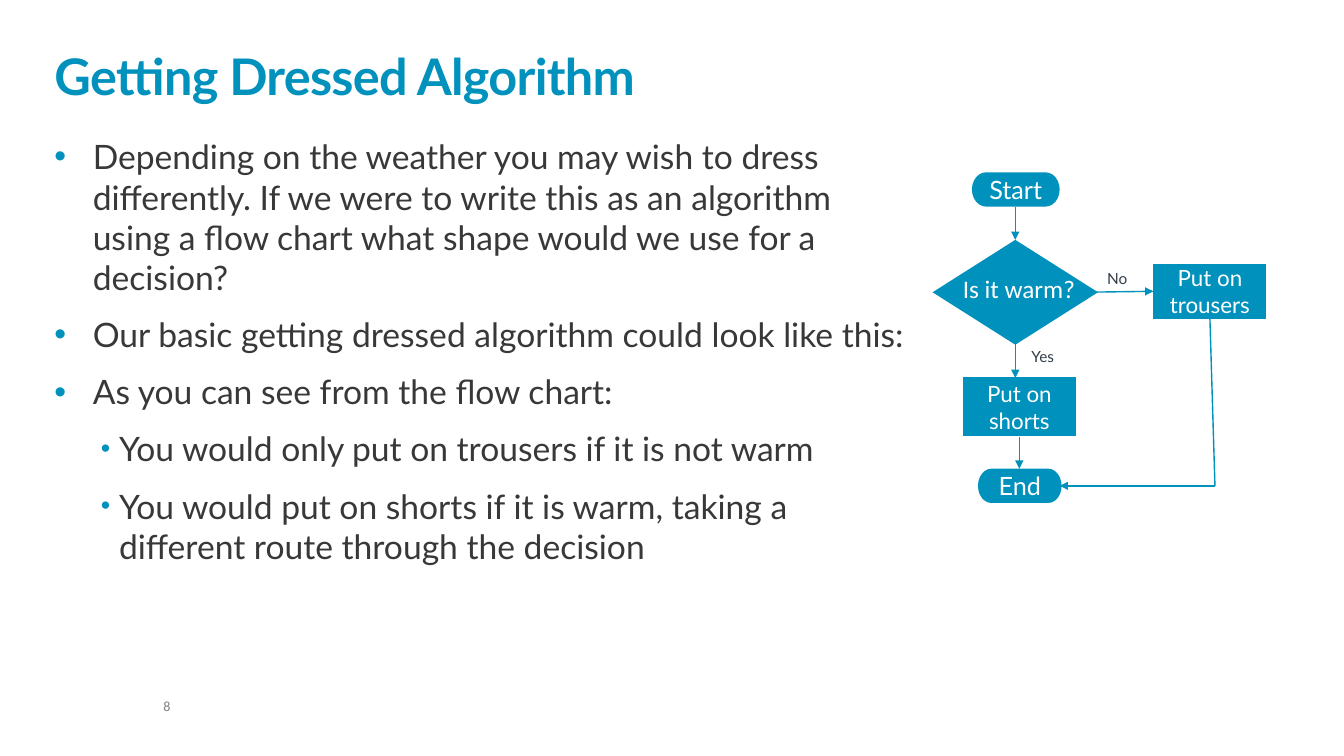
from lxml import etree
from pptx import Presentation, util as u
from pptx.dml.color import RGBColor
from pptx.enum import shapes, text
from pptx.oxml.ns import qn

PX = 9144  # EMU, 100 px to the inch
BLUE = RGBColor(0x00, 0x91, 0xBD)
DARK = RGBColor(0x38, 0x38, 0x38)
SLATE = RGBColor(0x33, 0x3E, 0x48)
GREY = RGBColor(0x7F, 0x7F, 0x7F)
WHITE = RGBColor(0xFF, 0xFF, 0xFF)

TITLE = "Getting Dressed Algorithm"
BULLETS = [  # level, text
    (0, "Depending on the weather you may wish to dress differently. If we were to write this "
        "as an algorithm using a flow chart what shape would we use for a decision?"),
    (0, "Our basic getting dressed algorithm could look like this:"),
    (0, "As you can see from the flow chart:"),
    (1, "You would only put on trousers if it is not warm"),
    (1, "You would put on shorts if it is warm, taking a different route through the decision"),
]
LEVELS = [(38, -38, 100), (64, -18, 80)]  # margin, indent, bullet size in percent

TERMINATOR = shapes.MSO_SHAPE.FLOWCHART_TERMINATOR
DECISION = shapes.MSO_SHAPE.FLOWCHART_DECISION
PROCESS = shapes.MSO_SHAPE.FLOWCHART_PROCESS
STEPS = [  # preset, box, words, size
    (TERMINATOR, (964, 171, 87, 34), "Start", 18),
    (DECISION, (925, 238, 164, 104), "", 18),
    (PROCESS, (1144, 262, 112, 54), "Put on trousers", 16),
    (PROCESS, (955, 374, 112, 59), "Put on shorts", 16),
    (TERMINATOR, (970, 465, 83, 34), "End", 18),
]
LINKS = [  # from, to, arrow
    ((1007, 205), (1007, 238), True),
    ((1007, 340), (1007, 375), True),
    ((1011, 434), (1011, 465), True),
    ((1069, 290), (1144, 289), True),
    ((1200, 316), (1205, 482), False),
    ((1205, 482), (1051, 482), True),
]
LABELS = [  # box, words, size, font, colour, wrap
    ((1023, 346, 24, 17), "Yes", 11, "Lato", SLATE, False),
    ((1098, 269, 21, 17), "No", 11, "Lato", SLATE, False),
    ((955, 275, 122, 27), "Is it warm?", 18, "Calibri", WHITE, True),
    ((162, 694, 119, 15), "8", 10, "Calibri", GREY, True),
]


def scaled(lengths):
    return [length * PX for length in lengths]


def place(shape, box):
    shape.left, shape.top, shape.width, shape.height = scaled(box)


def prepare_frame(shape, anchor, wrap=True):
    """Clear the insets and fix the wrapping and anchor."""
    frame = shape.text_frame
    frame.margin_left = frame.margin_top = frame.margin_right = frame.margin_bottom = 0
    frame.auto_size = text.MSO_AUTO_SIZE.NONE
    frame.word_wrap = wrap
    frame.vertical_anchor = anchor
    return frame


def add_run(paragraph, words, size, colour, font="Lato", bold=False):
    run = paragraph.add_run()
    run.text = words
    run.font.name = font
    run.font.size = u.Pt(size)
    run.font.bold = bold
    run.font.color.rgb = colour
    return run


def set_bullet(paragraph, level):
    margin, indent, percent = LEVELS[level]
    properties = paragraph._p.get_or_add_pPr()
    properties.set("marL", str(margin * PX))
    properties.set("indent", str(indent * PX))
    colour = etree.SubElement(properties, qn("a:buClr"))
    etree.SubElement(colour, qn("a:srgbClr"), val=str(BLUE))
    etree.SubElement(properties, qn("a:buSzPct"), val=str(percent * 1000))
    etree.SubElement(properties, qn("a:buFont"), typeface="Arial")
    etree.SubElement(properties, qn("a:buChar"), char="•")


def add_title(slide):
    title = slide.shapes.title
    place(title, (54, 32, 1223, 73))
    paragraph = prepare_frame(title, text.MSO_ANCHOR.BOTTOM).paragraphs[0]
    paragraph.alignment = text.PP_ALIGN.LEFT
    paragraph.line_spacing = 0.85
    run = add_run(paragraph, TITLE, 36, BLUE, bold=True)
    run._r.get_or_add_rPr().set("spc", "-50")


def add_body(slide):
    body = slide.placeholders[1]
    place(body, (54, 135, 844, 503))
    frame = prepare_frame(body, text.MSO_ANCHOR.TOP)
    for index, (level, words) in enumerate(BULLETS):
        paragraph = frame.add_paragraph() if index else frame.paragraphs[0]
        paragraph.level = level
        paragraph.space_before = u.Pt(12)
        set_bullet(paragraph, level)
        add_run(paragraph, words, 24, DARK)


def add_step(slide, preset, box, words, size):
    step = slide.shapes.add_shape(preset, *scaled(box))
    step.shadow.inherit = False
    step.fill.solid()
    step.fill.fore_color.rgb = BLUE
    step.line.fill.background()
    if words:
        step.text_frame.vertical_anchor = text.MSO_ANCHOR.MIDDLE
        paragraph = step.text_frame.paragraphs[0]
        paragraph.alignment = text.PP_ALIGN.CENTER
        add_run(paragraph, words, size, WHITE)


def add_link(slide, start, end, arrow):
    link = slide.shapes.add_connector(shapes.MSO_CONNECTOR.STRAIGHT, *scaled(start + end))
    link.line.color.rgb = BLUE
    link.line.width = u.Pt(1)
    if arrow:
        etree.SubElement(link.line._get_or_add_ln(), qn("a:tailEnd"), type="triangle")
    etree.SubElement(link._element.spPr, qn("a:effectLst"))


def add_label(slide, box, words, size, font, colour, wrap):
    label = slide.shapes.add_textbox(*scaled(box))
    paragraph = prepare_frame(label, text.MSO_ANCHOR.TOP, wrap).paragraphs[0]
    paragraph.line_spacing = 0.9
    paragraph.space_after = u.Pt(6)
    add_run(paragraph, words, size, colour, font)


def main():
    presentation = Presentation()
    presentation.slide_width, presentation.slide_height = scaled((1333, 750))
    slide = presentation.slides.add_slide(presentation.slide_layouts[1])
    add_title(slide)
    add_body(slide)
    for step in STEPS:
        add_step(slide, *step)
    for link in LINKS:
        add_link(slide, *link)
    for label in LABELS:
        add_label(slide, *label)
    presentation.save("out.pptx")


if __name__ == "__main__":
    main()
